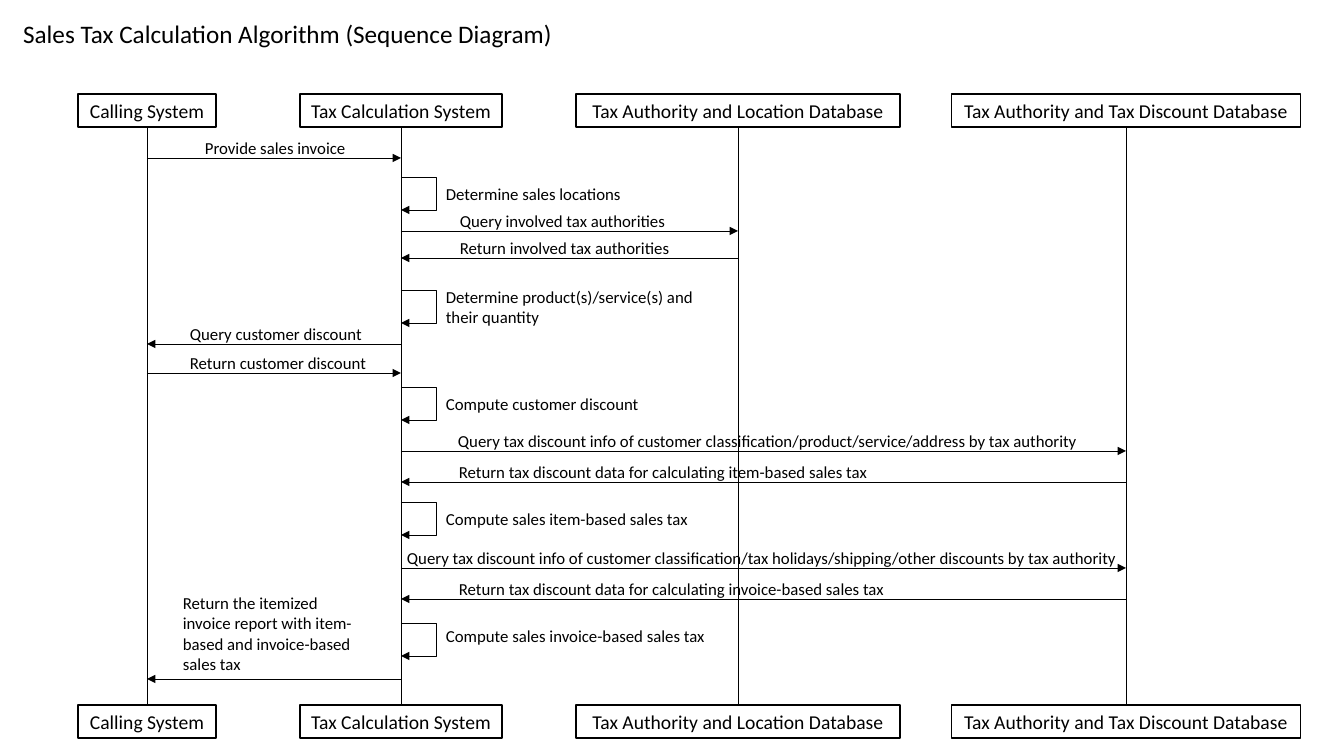
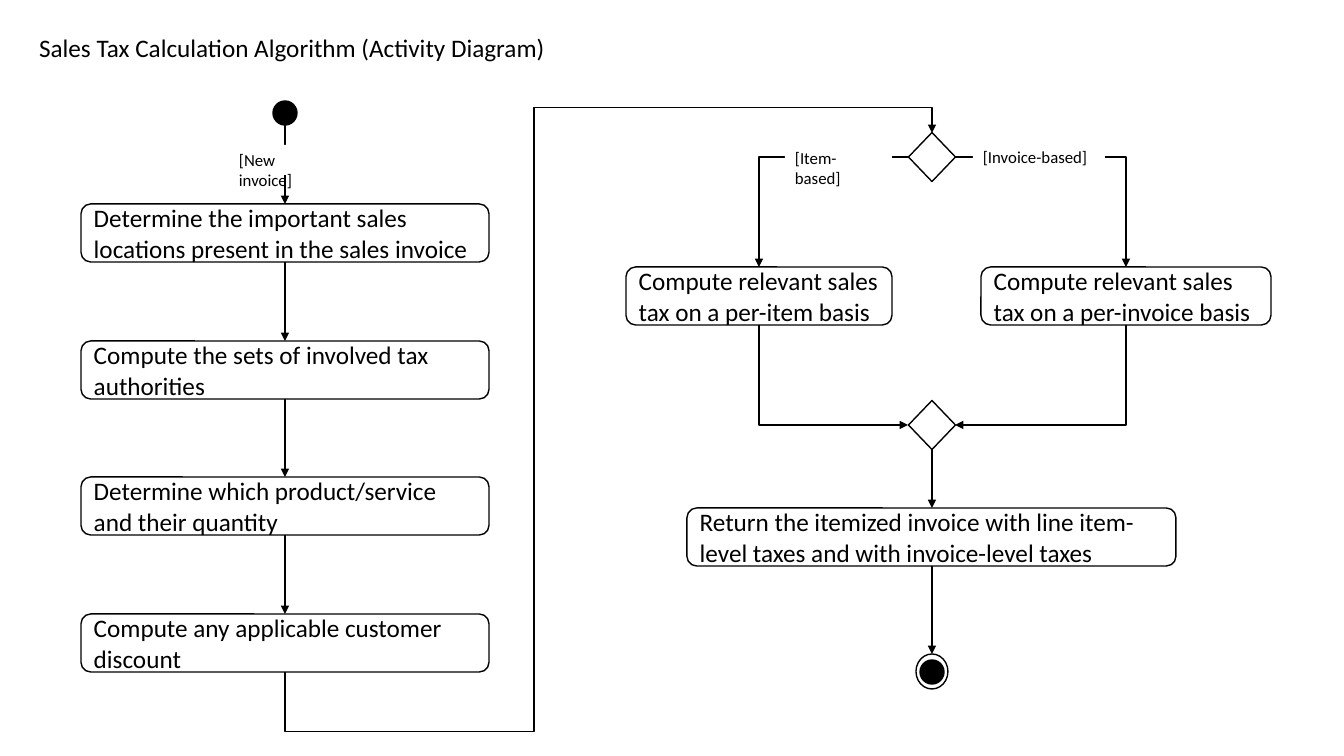
"""Two diagrams of a sales tax calculation: sequence and activity."""
from lxml import etree
from pptx import Presentation
from pptx.dml.color import RGBColor
from pptx.enum.shapes import MSO_CONNECTOR, MSO_SHAPE
from pptx.enum.text import MSO_ANCHOR, MSO_AUTO_SIZE, PP_ALIGN
from pptx.oxml.ns import qn
from pptx.util import Emu, Pt

STRAIGHT, ELBOW = MSO_CONNECTOR.STRAIGHT, MSO_CONNECTOR.ELBOW
RECTANGLE, ROUNDED = MSO_SHAPE.RECTANGLE, MSO_SHAPE.ROUNDED_RECTANGLE
DIAMOND, CIRCLE = MSO_SHAPE.DIAMOND, MSO_SHAPE.FLOWCHART_CONNECTOR
TOP, MIDDLE = MSO_ANCHOR.TOP, MSO_ANCHOR.MIDDLE
LEFT, CENTER = PP_ALIGN.LEFT, PP_ALIGN.CENTER
FIXED, GROW = MSO_AUTO_SIZE.NONE, MSO_AUTO_SIZE.SHAPE_TO_FIT_TEXT

BLACK = RGBColor(0x00, 0x00, 0x00)
WHITE = RGBColor(0xFF, 0xFF, 0xFF)
FONT = "Calibri"
PIXELS_PER_INCH = 100.8
TITLE_ONLY = 5
THIN, NORMAL = 0.5, 1


def px(length):
    """Turn pixels into EMU."""
    return Emu(round(length * 914400 / PIXELS_PER_INCH))


class Painter:
    """Holds the deck style and the current page."""

    def __init__(self):
        """Start a widescreen deck."""
        self.deck = Presentation()
        self.deck.slide_width, self.deck.slide_height = px(1344), px(756)
        self.page = None

    def new_page(self, title, left, top, width):
        """Add a page with its title placeholder moved and formatted."""
        layout = self.deck.slide_layouts[TITLE_ONLY]
        self.page = self.deck.slides.add_slide(layout)
        box = self.page.shapes.title
        places = {"left": left, "top": top, "width": width, "height": 40}
        for name, value in places.items():
            setattr(box, name, px(value))
        self.set_text(box, title, 18, auto_size=GROW)

    def set_text(self, box, text, size, align=LEFT, **frame_values):
        """Put one formatted paragraph into a box."""
        frame = box.text_frame
        values = {"word_wrap": True, "vertical_anchor": TOP, **frame_values}
        for name, value in values.items():
            setattr(frame, name, value)
        para = frame.paragraphs[0]
        para.alignment = align
        span = para.add_run()
        span.text = text
        span.font.color.rgb = BLACK
        for name, value in {"name": FONT, "size": Pt(size), "bold": False}.items():
            setattr(span.font, name, value)

    def label(self, text, left, top, width, height=30):
        """Add a small text box."""
        area = map(px, (left, top, width, height))
        box = self.page.shapes.add_textbox(*area)
        self.set_text(box, text, 12, auto_size=GROW)

    def shape(self, kind, left, top, width, height, fill=WHITE, outlined=True):
        """Add a preset shape; a fill of None leaves it see-through."""
        area = map(px, (left, top, width, height))
        shape = self.page.shapes.add_shape(kind, *area)
        shape.shadow.inherit = False
        if fill is None:
            shape.fill.background()
        else:
            shape.fill.solid()
            shape.fill.fore_color.rgb = fill
        if outlined:
            shape.line.color.rgb = BLACK
            shape.line.width = Pt(NORMAL)
        else:
            shape.line.fill.background()
        return shape

    def participant(self, text, left, top, width):
        """Add the head or foot box of a lifeline."""
        box = self.shape(RECTANGLE, left, top, width, 33)
        self.set_text(box, text, 14, CENTER, vertical_anchor=MIDDLE)

    def activity(self, text, left, top, width):
        """Add a rounded activity box."""
        box = self.shape(ROUNDED, left, top, width, 58)
        self.set_text(box, text, 18, vertical_anchor=MIDDLE)

    def guard(self, text, left, top, width):
        """Add a white condition label that masks the line behind it."""
        box = self.shape(RECTANGLE, left, top, width, 30, outlined=False)
        self.set_text(box, text, 12, auto_size=FIXED)

    def line(self, start, end, weight=NORMAL, arrow=True, kind=STRAIGHT):
        """Add a black connector, with an arrowhead at its end if wanted."""
        connector = self.page.shapes.add_connector(
            kind, *map(px, (*start, *end)))
        connector.line.color.rgb = BLACK
        connector.line.width = Pt(weight)
        properties = connector._element.spPr
        if arrow:
            outline = properties.find(qn("a:ln"))
            etree.SubElement(outline, qn("a:tailEnd"), type="triangle")
        etree.SubElement(properties, qn("a:effectLst"))
        return connector

    def elbow(self, start, end, turn, flips="", bends=(), weight=NORMAL):
        """Add a bent arrow; turn is in degrees, bends are in percent."""
        middle_x, middle_y = (start[0] + end[0]) / 2, (start[1] + end[1]) / 2
        width, height = abs(end[0] - start[0]), abs(end[1] - start[1])
        if turn % 180:
            width, height = height, width
        left, top = middle_x - width / 2, middle_y - height / 2
        connector = self.line((left, top), (left + width, top + height),
                              weight, kind=ELBOW)
        properties = connector._element.spPr
        frame = properties.find(qn("a:xfrm"))
        frame.set("rot", str(turn * 60000))
        for flip in flips:
            frame.set("flip" + flip, "1")
        geometry = properties.find(qn("a:prstGeom"))
        geometry.set("prst", f"bentConnector{len(bends) + 2}")
        guides = geometry.find(qn("a:avLst"))
        for number, bend in enumerate(bends, 1):
            etree.SubElement(guides, qn("a:gd"), name=f"adj{number}",
                             fmla=f"val {round(bend * 1000)}")


CALLER, SYSTEM, LOCATIONS, DISCOUNTS = 147, 401, 738, 1126
PARTICIPANTS = [
    ("Calling System", CALLER, 138),
    ("Tax Calculation System", SYSTEM, 202),
    ("Tax Authority and Location Database", LOCATIONS, 324),
    ("Tax Authority and Tax Discount Database", DISCOUNTS, 349),
]
# text, sender, receiver, arrow y, label left, label width
MESSAGES = [
    ("Provide sales invoice", CALLER, SYSTEM, 158, 195, 180),
    ("Query involved tax authorities", SYSTEM, LOCATIONS, 231, 450, 233),
    ("Return involved tax authorities", LOCATIONS, SYSTEM, 258, 450, 233),
    ("Query customer discount", SYSTEM, CALLER, 344, 180, 194),
    ("Return customer discount", CALLER, SYSTEM, 373, 180, 233),
    ("Query tax discount info of customer classification/product/service/"
     "address by tax authority", SYSTEM, DISCOUNTS, 451, 448, 660),
    ("Return tax discount data for calculating item-based sales tax",
     DISCOUNTS, SYSTEM, 482, 449, 475),
    ("Query tax discount info of customer classification/tax holidays/"
     "shipping/other discounts by tax authority",
     SYSTEM, DISCOUNTS, 568, 397, 737),
    ("Return tax discount data for calculating invoice-based sales tax",
     DISCOUNTS, SYSTEM, 599, 449, 503),
]
# text, loop top, label top, label width, label height
SELF_CALLS = [
    ("Determine sales locations", 177, 179, 202, 30),
    ("Determine product(s)/service(s) and their quantity", 290, 282, 269, 50),
    ("Compute customer discount", 387, 389, 269, 30),
    ("Compute sales item-based sales tax", 502, 504, 269, 30),
    ("Compute sales invoice-based sales tax", 623, 621, 281, 30),
]


def sequence_page(painter):
    """Draw the sequence diagram."""
    painter.new_page("Sales Tax Calculation Algorithm (Sequence Diagram)",
                     13, 13, 706)
    head, foot = 94, 705
    for text, center, width in PARTICIPANTS:
        for top in (head, foot):
            painter.participant(text, center - width / 2, top, width)
        painter.line((center, head + 33), (center, foot), THIN, arrow=False)
    for text, sender, receiver, y, left, width in MESSAGES:
        painter.line((sender, y), (receiver, y), THIN)
        painter.label(text, left, y - 25, width)
    painter.line((SYSTEM, 679), (CALLER, 679), THIN)
    painter.label("Return the itemized invoice report with item-based and "
                  "invoice-based sales tax", 173, 588, 194, 92)
    loop_right = SYSTEM + 35
    for text, loop_top, top, width, height in SELF_CALLS:
        corner = (loop_right, loop_top)
        painter.line((SYSTEM, loop_top), corner, THIN, arrow=False)
        painter.elbow(corner, (SYSTEM, loop_top + 33), 180, "V", [-0.2], THIN)
        painter.label(text, loop_right, top, width, height)


STEPS = [
    "Determine the important sales locations present in the sales invoice",
    "Compute the sets of involved tax authorities",
    "Determine which product/service and their quantity",
    "Compute any applicable customer discount",
]


def activity_page(painter):
    """Draw the activity diagram."""
    painter.new_page("Sales Tax Calculation Algorithm (Activity Diagram)",
                     29, 27, 535)
    steps_x, branch_x, item_x, invoice_x = 285, 932, 759, 1126
    split_y, branches_top, merge_y, result_top = 157, 267, 425, 508

    painter.shape(CIRCLE, steps_x - 12, 101, 24, 24, BLACK)
    bottom = 125
    for index, text in enumerate(STEPS):
        top = 204 + round(index * 136.7)
        painter.activity(text, 81, top, 408)
        painter.line((steps_x, bottom), (steps_x, top))
        bottom = top + 58

    for y in (split_y, merge_y):
        painter.shape(DIAMOND, branch_x - 23.5, y - 24.5, 47, 49)
    painter.elbow((steps_x, bottom), (branch_x, split_y - 24), 90, "HV",
                  [-11.1, 38.5, 104.7])

    painter.activity("Compute relevant sales tax on a per-item basis",
                     626, branches_top, 266)
    painter.activity("Compute relevant sales tax on a per-invoice basis",
                     981, branches_top, 290)
    left, right = branch_x - 24, branch_x + 23
    branches_bottom = branches_top + 58
    painter.elbow((left, split_y), (item_x, branches_top), 180, "V")
    painter.elbow((right, split_y), (invoice_x, branches_top), 0)
    painter.elbow((item_x, branches_bottom), (left, merge_y), 270, "H")
    painter.elbow((invoice_x, branches_bottom), (right, merge_y), 90)

    painter.activity("Return the itemized invoice with line item-level taxes "
                     "and with invoice-level taxes", 687, result_top, 489)
    painter.line((branch_x, merge_y + 24), (branch_x, result_top))
    painter.line((branch_x, result_top + 58), (branch_x, 654))
    painter.shape(CIRCLE, branch_x - 12, 660, 24, 24, BLACK)
    painter.shape(CIRCLE, branch_x - 16, 654, 32, 35, None)

    painter.guard("[New invoice]", 229, 145, 111)
    painter.guard("[Item-based]", 785, 143, 107)
    painter.guard("[Invoice-based]", 973, 142, 132)


def main():
    """Build both pages and save the deck."""
    painter = Painter()
    sequence_page(painter)
    activity_page(painter)
    painter.deck.save("out.pptx")


main()
